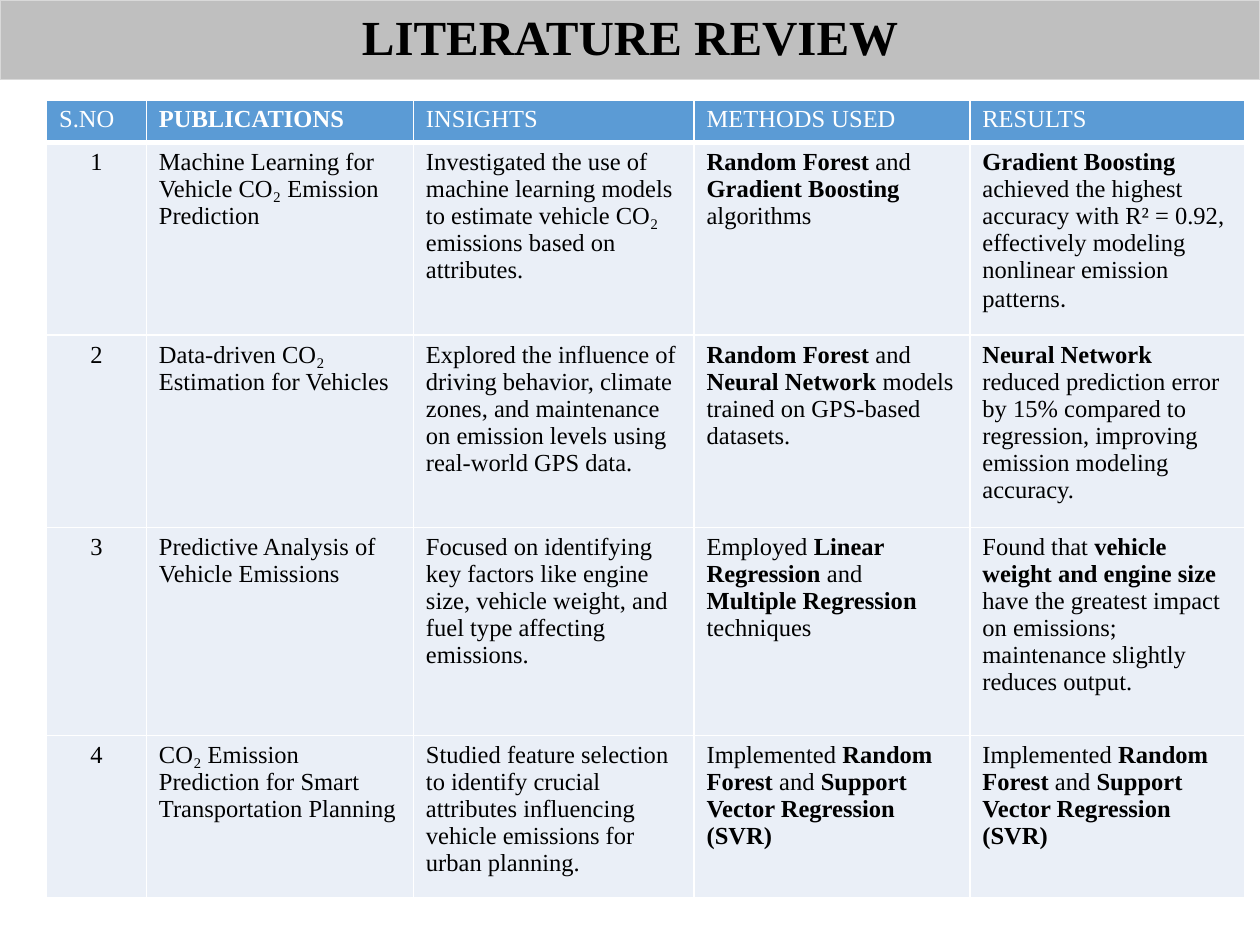
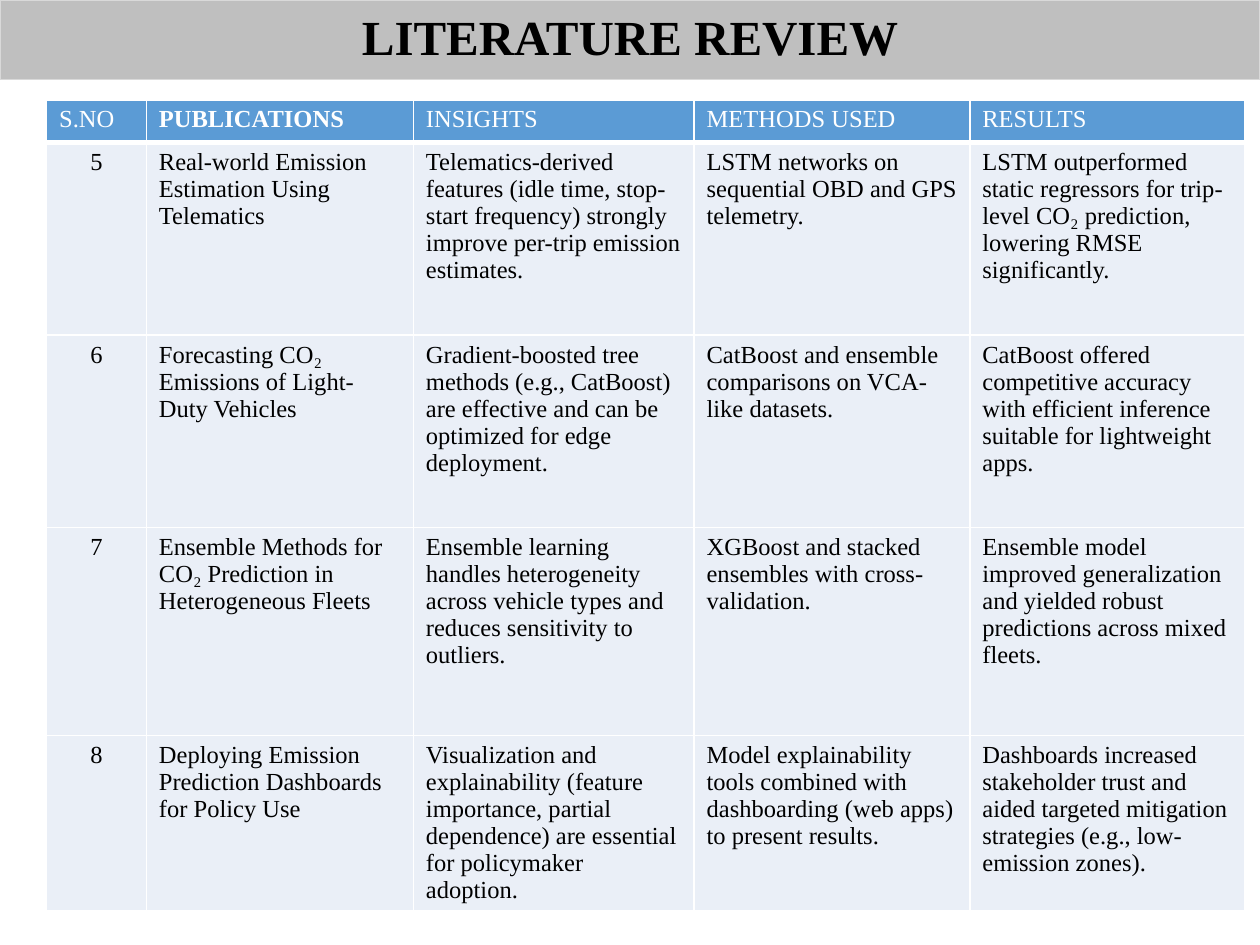
from lxml.etree import SubElement, fromstring
from pptx import Presentation
from pptx.dml.color import RGBColor
from pptx.enum.text import MSO_ANCHOR, PP_ALIGN
from pptx.oxml.ns import qn
from pptx.util import Pt

TITLE = "LITERATURE REVIEW"
HEADS = ["S.NO", "*PUBLICATIONS*", "INSIGHTS", "METHODS USED", "RESULTS"]
PAGES = [
    [
        ("Machine Learning for Vehicle CO₂ Emission Prediction",
         "Investigated the use of machine learning models to estimate vehicle CO₂ emissions based on attributes.",
         "*Random Forest* and *Gradient Boosting* algorithms",
         "*Gradient Boosting* achieved the highest accuracy with R² = 0.92, "
         "effectively modeling nonlinear emission patterns^."),
        ("Data-driven CO₂ Estimation for Vehicles",
         "Explored the influence of driving behavior, climate zones, and maintenance "
         "on emission levels using real-world GPS data.",
         "*Random Forest* and *Neural Network* models trained on GPS-based datasets.",
         "*Neural Network* reduced prediction error by 15% compared to regression, "
         "improving emission modeling accuracy."),
        ("Predictive Analysis of Vehicle Emissions",
         "Focused on identifying key factors like engine size, vehicle weight, and fuel type affecting emissions.",
         "Employed *Linear Regression* and *Multiple Regression* techniques",
         "Found that *vehicle weight and engine size* have the greatest impact on emissions; "
         "maintenance slightly reduces output."),
        ("CO₂ Emission Prediction for Smart Transportation Planning",
         "Studied feature selection to identify crucial attributes influencing vehicle emissions for urban planning.",
         "Implemented *Random Forest* and *Support Vector Regression (SVR)*",
         "Implemented *Random Forest* and *Support Vector Regression (SVR)*"),
    ],
    [
        ("Real-world Emission Estimation Using Telematics",
         "Telematics-derived features (idle time, stop-start frequency) strongly improve per-trip emission estimates.",
         "LSTM networks on sequential OBD and GPS telemetry.",
         "LSTM outperformed static regressors for trip-level CO₂ prediction, lowering RMSE significantly."),
        ("Forecasting CO₂ Emissions of Light-Duty Vehicles",
         "Gradient-boosted tree methods (e.g., CatBoost) are effective and can be optimized for edge deployment.",
         "CatBoost and ensemble comparisons on VCA-like datasets.",
         "CatBoost offered competitive accuracy with efficient inference suitable for lightweight apps."),
        ("Ensemble Methods for CO₂ Prediction in Heterogeneous Fleets",
         "Ensemble learning handles heterogeneity across vehicle types and reduces sensitivity to outliers.",
         "XGBoost and stacked ensembles with cross-validation.",
         "Ensemble model improved generalization and yielded robust predictions across mixed fleets."),
        ("Deploying Emission Prediction Dashboards for Policy Use",
         "Visualization and explainability (feature importance, partial dependence) "
         "are essential for policymaker adoption.",
         "Model explainability tools combined with dashboarding (web apps) to present results.",
         "Dashboards increased stakeholder trust and aided targeted mitigation strategies "
         "(e.g., low-emission zones)."),
    ],
]

INK = {"band": "BFBFBF", "edge": "D9D9D9", "head": "5B9BD5", "body": "EAEFF7",
       "white": "FFFFFF", "black": "000000"}
FACE, ALT = "Times New Roman", "Calibri"
WIDE, HIGH, BAND = 720, 540, 45.36
LEFT, TOP = 26.64, 57
COLS = [57, 152.6, 160.4, 157.6, 157]
ROWS = [24.4, 110, 110, 118.8, 92.8]


def tint(name):
    return RGBColor.from_string(INK[name])


def style(font, size, color, bold):
    font.name, font.size, font.bold = FACE, Pt(size), bold
    font.color.rgb = tint(color)


def add_title(slide):
    title = slide.shapes.title
    title.left, title.top, title.width, title.height = Pt(0), Pt(0), Pt(WIDE), Pt(BAND)
    title.fill.solid()
    title.fill.fore_color.rgb = tint("band")
    title.line.color.rgb = tint("edge")
    title.line.width = Pt(0.75)
    frame = title.text_frame
    frame.text = TITLE
    frame.vertical_anchor = MSO_ANCHOR.MIDDLE
    para = frame.paragraphs[0]
    para.alignment = PP_ALIGN.CENTER
    para.line_spacing = 0.9
    style(para.font, 28, "black", True)


def write(cell, text, color):
    para = cell.text_frame.paragraphs[0]
    style(para.font, 14, color, False)
    main, _, tail = text.partition("^")
    for i, part in enumerate(main.split("*")):
        if part:
            run = para.add_run()
            run.text = part
            run.font.bold = i % 2 == 1
    if tail:
        run = para.add_run()
        run.text = tail
        run.font.name = ALT
        run.font.bold = False
    return para


def paint(cell, fill, base):
    cell.fill.solid()
    cell.fill.fore_color.rgb = tint(fill)
    props = cell._tc.get_or_add_tcPr()
    for i, (side, size) in enumerate(zip("LRTB", (1, 1, 1, base))):
        line = SubElement(props, qn("a:ln" + side), w=str(Pt(size)))
        solid = SubElement(line, qn("a:solidFill"))
        SubElement(solid, qn("a:srgbClr"), val=INK["white"])
        props.insert(i, line)


def add_grid(slide, items, first):
    rows = [HEADS] + [(str(n), *item) for n, item in enumerate(items, first)]
    shape = slide.shapes.add_table(len(rows), len(COLS), Pt(LEFT), Pt(TOP),
                                   Pt(sum(COLS)), Pt(sum(ROWS)))
    table = shape.table
    table.horz_banding = False
    for col, width in zip(table.columns, COLS):
        col.width = Pt(width)
    for r, (row, texts) in enumerate(zip(table.rows, rows)):
        row.height = Pt(ROWS[r])
        for c, text in enumerate(texts):
            cell = table.cell(r, c)
            para = write(cell, text, "black" if r else "white")
            if r and c == 0:
                para.alignment = PP_ALIGN.CENTER
            paint(cell, "body" if r else "head", 1 if r else 3)


def main():
    deck = Presentation()
    deck.slide_width, deck.slide_height = Pt(WIDE), Pt(HIGH)
    first = 1
    for items in PAGES:
        slide = deck.slides.add_slide(deck.slide_layouts[5])
        add_title(slide)
        add_grid(slide, items, first)
        first += len(items)
    deck.save("out.pptx")


if __name__ == "__main__":
    main()
